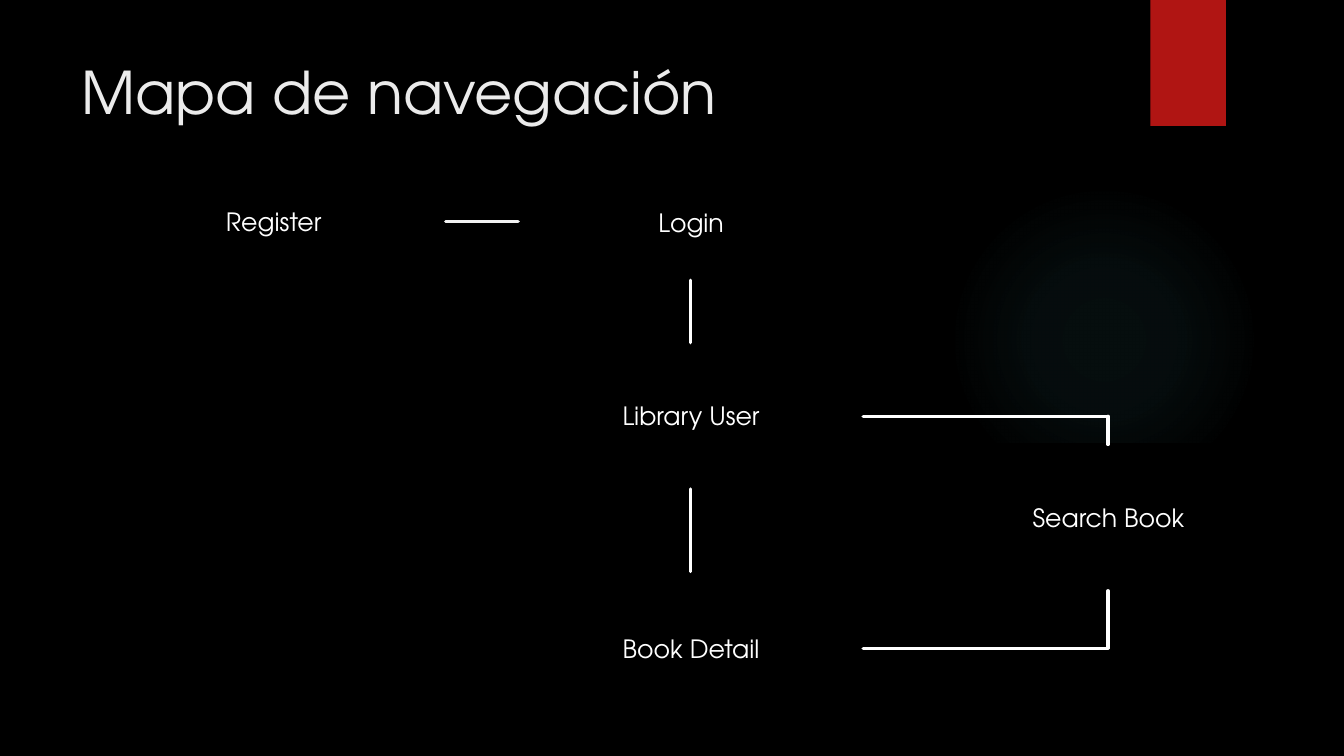
import pptx
import pptx.dml.color
import pptx.enum.shapes
import pptx.enum.text
import pptx.oxml
import pptx.oxml.ns
import pptx.util
from pptx.util import Inches

FONT = "TeX Gyre Adventor"
BLACK, WHITE, RED, GLOW = "000000", "FFFFFF", "B01513", "50B9C1"
SHAPE = pptx.enum.shapes.MSO_SHAPE
ALIGN = pptx.enum.text.PP_ALIGN
ANCHOR = pptx.enum.text.MSO_ANCHOR

# Screens: name, left, top, width, height
SCREENS = [
    ("Login", 5.14, 1.63, 3.43, 1.15),
    ("Register", 1, 1.72, 3.43, 0.96),
    ("Library User", 5.14, 3.4, 3.43, 1.45),
    ("Search Book", 9.28, 4.41, 3.43, 1.45),
    ("Book Detail", 5.14, 5.67, 3.43, 1.53),
]

# Links: start x, start y, end x, end y, colour
LINKS = [
    (4.42, 2.2, 5.14, 2.2, "F2F2F2"),
    (6.85, 2.78, 6.85, 3.4, WHITE),
    (6.85, 4.85, 6.85, 5.67, WHITE),
    (10.99, 5.86, 10.99, 6.43, WHITE),
    (8.56, 4.13, 10.99, 4.13, WHITE),
    (10.99, 4.13, 10.99, 4.41, WHITE),
    (8.56, 6.43, 10.99, 6.43, WHITE),
]


def rgb(value):
    return pptx.dml.color.RGBColor.from_string(value)


def write(sp, text, size, color, align, anchor):
    tf = sp.text_frame
    for name, value in {"word_wrap": True, "vertical_anchor": anchor}.items():
        setattr(tf, name, value)
    p = tf.paragraphs[0]
    p.alignment = align
    r = p.add_run()
    r.text = text
    for name, value in {"name": FONT, "size": pptx.util.Pt(size)}.items():
        setattr(r.font, name, value)
    r.font.color.rgb = rgb(color)


def add_block(s, kind, box, fill, line=None):
    sp = s.shapes.add_shape(kind, *map(Inches, box))
    sp.shadow.inherit = False
    sp.fill.solid()
    sp.fill.fore_color.rgb = rgb(fill)
    if line:
        sp.line.color.rgb = rgb(line)
        sp.line.width = pptx.util.Pt(1.5)
    else:
        sp.line.fill.background()
    return sp


def add_glow(s, box):
    sp = add_block(s, SHAPE.OVAL, box, GLOW)
    stops = "".join(
        f'<a:gs pos="{pos * 1000}"><a:srgbClr val="{GLOW}">'
        f'<a:alpha val="{alpha * 1000}"/></a:srgbClr></a:gs>'
        for pos, alpha in [(0, 7), (36, 6), (69, 0)]
    )
    gradient = pptx.oxml.parse_xml(
        f'<a:gradFill {pptx.oxml.ns.nsdecls("a")}><a:gsLst>{stops}</a:gsLst>'
        '<a:path path="circle"><a:fillToRect l="50000" t="50000" '
        'r="50000" b="50000"/></a:path></a:gradFill>'
    )
    solid = sp.element.spPr.find(pptx.oxml.ns.qn("a:solidFill"))
    solid.getparent().replace(solid, gradient)


def add_title(s, text, box):
    sp = s.shapes.add_textbox(*map(Inches, box))
    write(sp, text, 42, "EBEBEB", ALIGN.LEFT, ANCHOR.TOP)


def add_screen(s, name, *box):
    sp = add_block(s, SHAPE.RECTANGLE, box, BLACK, BLACK)
    write(sp, name, 18, WHITE, ALIGN.CENTER, ANCHOR.MIDDLE)


def add_link(s, x1, y1, x2, y2, color):
    straight = pptx.enum.shapes.MSO_CONNECTOR.STRAIGHT
    link = s.shapes.add_connector(straight, *map(Inches, (x1, y1, x2, y2)))
    link.line.color.rgb = rgb(color)
    link.line.width = pptx.util.Pt(2.25)
    spPr = link.element.spPr
    spPr.find(pptx.oxml.ns.qn("a:ln")).set("cap", "rnd")
    spPr.append(pptx.oxml.parse_xml(f'<a:effectLst {pptx.oxml.ns.nsdecls("a")}/>'))


def main():
    prs = pptx.Presentation()
    prs.slide_width, prs.slide_height = Inches(13.33), Inches(7.5)
    s = prs.slides.add_slide(prs.slide_layouts[6])

    # Background and decoration
    s.background.fill.solid()
    s.background.fill.fore_color.rgb = rgb(BLACK)
    add_glow(s, (9.41, 1.83, 3.08, 3.08))
    add_block(s, SHAPE.RECTANGLE, (11.41, 0, 0.75, 1.25), RED)

    # Title and navigation map
    add_title(s, "Mapa de navegación", (0.71, 0.5, 10.29, 1.53))
    for screen in SCREENS:
        add_screen(s, *screen)
    for link in LINKS:
        add_link(s, *link)

    prs.save("out.pptx")


if __name__ == "__main__":
    main()
